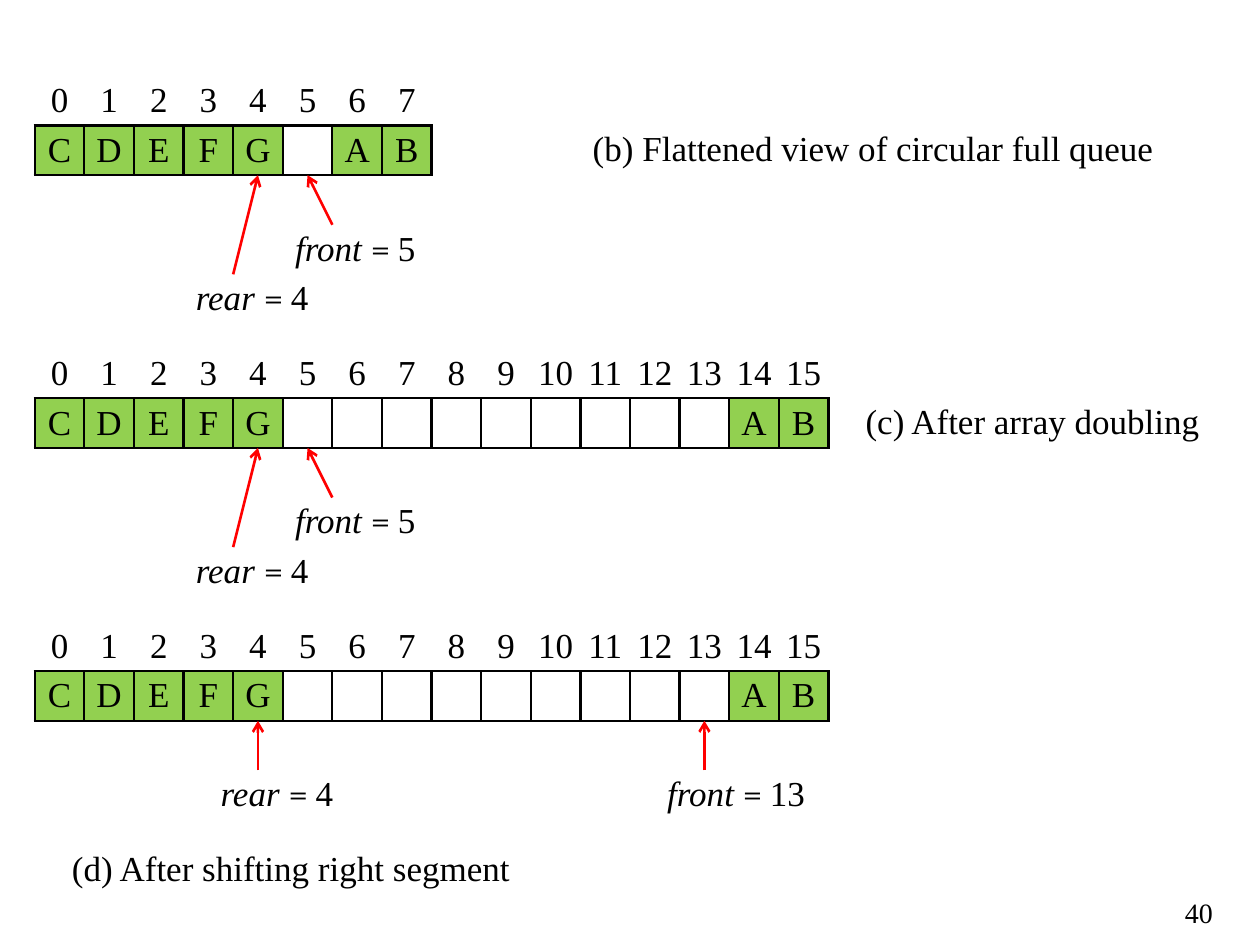
import pptx
import pptx.dml.color
import pptx.enum.dml
import pptx.enum.shapes
import pptx.enum.text
import pptx.oxml.ns
import pptx.util
from lxml import etree
from pptx.util import Cm

BLACK = pptx.dml.color.RGBColor(0x00, 0x00, 0x00)
WHITE = pptx.dml.color.RGBColor(0xFF, 0xFF, 0xFF)
GREEN = pptx.dml.color.RGBColor(0x92, 0xD0, 0x50)
RED = pptx.dml.color.RGBColor(0xFF, 0x00, 0x00)

SERIF = "Times New Roman"
LEFT = 0.7  # all lengths are in centimetres
CELL = 1
BORDER = pptx.util.Pt(1.5)
qn = pptx.oxml.ns.qn

presentation = pptx.Presentation()
presentation.slide_width = Cm(25.4)
presentation.slide_height = Cm(19.05)
slide = presentation.slides.add_slide(presentation.slide_layouts[6])


def add_run(paragraph, text, font=SERIF, size=20, italic=False):
    run = paragraph.add_run()
    run.text = text
    run.font.name = font
    run.font.size = pptx.util.Pt(size)
    run.font.bold = False
    run.font.italic = italic
    run.font.color.rgb = BLACK


def add_text_box(left, top, width, height=1):
    box = slide.shapes.add_textbox(Cm(left), Cm(top), Cm(width), Cm(height))
    box.text_frame.word_wrap = True
    box.text_frame.vertical_anchor = pptx.enum.text.MSO_ANCHOR.BOTTOM
    return box.text_frame


# Each queue: top, cell contents, and pointers as
# (name, index, horizontal shift of the arrow's start, arrow height, label width)
full_pointers = [("front", 5, 0.5, 1, 3.5), ("rear", 4, -0.5, 2, 3)]
shifted_pointers = [("rear", 4, 0, 1, 3), ("front", 13, 0, 1, 3.5)]
doubled_items = list("CDEFG") + [""] * 9 + list("AB")
queues = [
    (1.53, list("CDEFG") + [""] + list("AB"), full_pointers),
    (7.03, doubled_items, full_pointers),
    (12.53, doubled_items, shifted_pointers),
]

for top, items, pointers in queues:
    # Array with its index row
    table = slide.shapes.add_table(
        2, len(items), Cm(LEFT), Cm(top), Cm(CELL * len(items)), Cm(2 * CELL)
    ).table
    table.first_row = False
    table.horz_banding = False
    for row in table.rows:
        row.height = Cm(CELL)
    for index, item in enumerate(items):
        table.columns[index].width = Cm(CELL)
        for row_number, text in enumerate([str(index), item]):
            cell = table.cell(row_number, index)
            cell.margin_left = cell.margin_right = 0
            cell.margin_top = cell.margin_bottom = 0
            cell.vertical_anchor = pptx.enum.text.MSO_ANCHOR.MIDDLE
            paragraph = cell.text_frame.paragraphs[0]
            paragraph.alignment = pptx.enum.text.PP_ALIGN.CENTER
            if text:
                add_run(paragraph, text)

            # Borders come before the fill in the cell properties
            properties = cell._tc.get_or_add_tcPr()
            for side in ["lnL", "lnR", "lnT", "lnB"]:
                line = etree.SubElement(properties, qn(f"a:{side}"), w=str(BORDER))
                if row_number == 1 or side == "lnB":
                    fill = etree.SubElement(line, qn("a:solidFill"))
                    etree.SubElement(fill, qn("a:srgbClr"), val=str(BLACK))
                else:
                    etree.SubElement(line, qn("a:noFill"))
            if row_number == 0:
                cell.fill.background()
            else:
                cell.fill.solid()
                cell.fill.fore_color.rgb = GREEN if item else WHITE

    # Front and rear pointers
    bottom = top + 2 * CELL
    for name, index, shift, height, width in pointers:
        center = LEFT + (index + 0.5) * CELL
        start = center + shift
        arrow = slide.shapes.add_connector(
            pptx.enum.shapes.MSO_CONNECTOR.STRAIGHT,
            Cm(start), Cm(bottom + height), Cm(center), Cm(bottom),
        )
        arrow.line.color.rgb = RED
        arrow.line.width = pptx.util.Pt(1.5)
        etree.SubElement(arrow.line._get_or_add_ln(), qn("a:tailEnd"), type="arrow")
        etree.SubElement(arrow._element.spPr, qn("a:effectLst"))

        label = add_text_box(start - 1, bottom + height, width).paragraphs[0]
        add_run(label, f"{name} ", italic=True)
        add_run(label, "= ", font="Cambria")
        add_run(label, str(index))

# Captions
captions = [
    ("(b) Flattened view of circular full queue", 11.7, 2.53, 12),
    ("(c) After array doubling", 17.2, 8.03, 7.5),
    ("(d) After shifting right segment", 1.2, 17.03, 9.5),
]
for text, left, top, width in captions:
    add_run(add_text_box(left, top, width).paragraphs[0], text)

# Page number
page_frame = add_text_box(23.5, 17.93, 1.2, 0.8)
page_frame.vertical_anchor = pptx.enum.text.MSO_ANCHOR.TOP
page_frame.paragraphs[0].alignment = pptx.enum.text.PP_ALIGN.RIGHT
add_run(page_frame.paragraphs[0], "40", size=16)

presentation.save("out.pptx")
